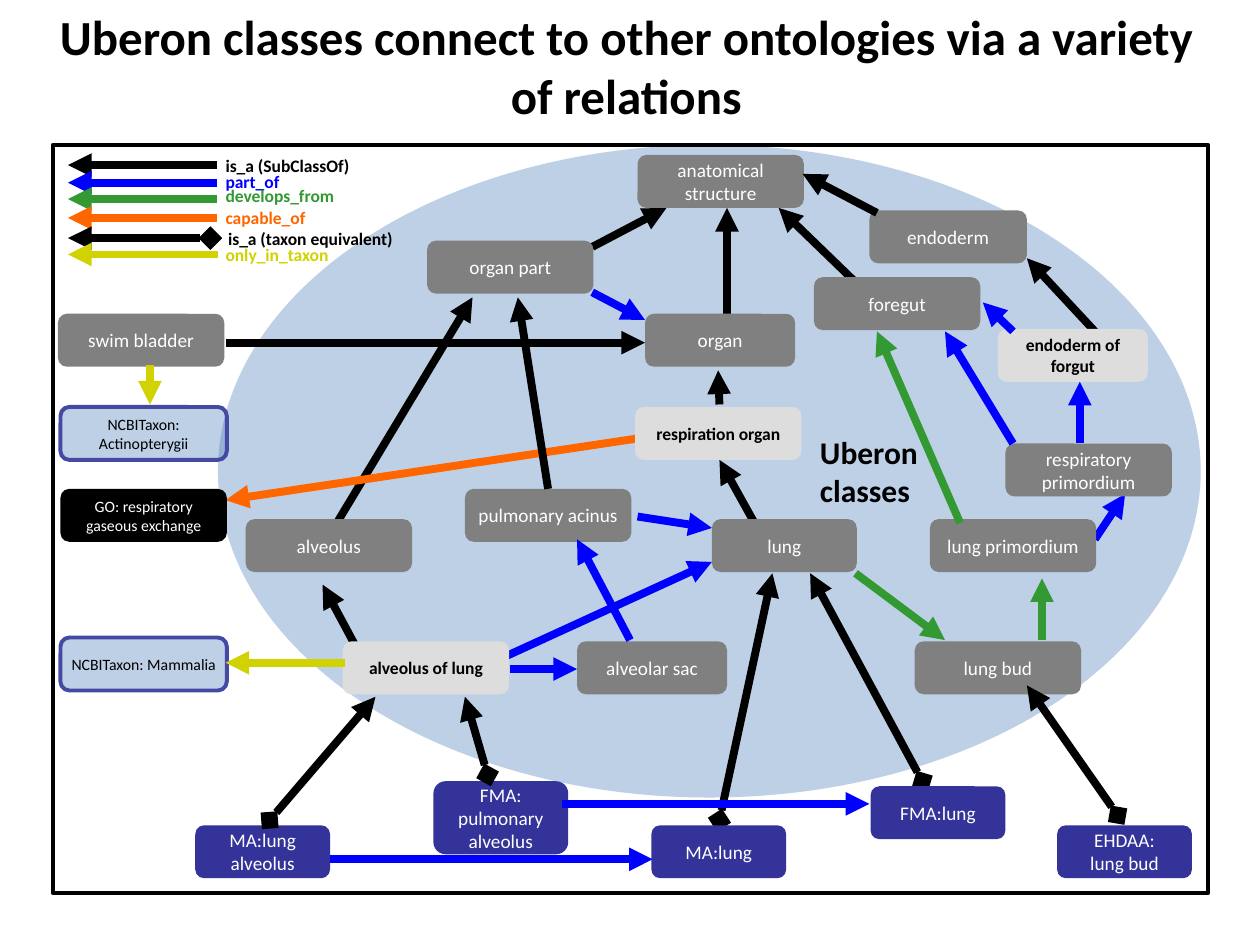
from lxml import etree
from pptx import Presentation
from pptx import util as u
from pptx.dml.color import RGBColor
from pptx.enum import shapes, text
from pptx.oxml import ns

TITLE = "Uberon classes connect to other ontologies via a variety of relations"
BOX_HEIGHT = 0.42
WIDE, MEDIUM, NARROW = 1.32, 1.19, 1.07

RELATION_COLORS = {
    "is_a": "000000",
    "part_of": "0000FF",
    "develops_from": "339933",
    "capable_of": "FF6600",
    "taxon_equivalent": "000000",
    "only_in_taxon": "D1D201",
}

BOX_STYLES = {
    "uberon": dict(fill="808080", color="FFFFFF", size=11),
    "focus": dict(fill="DDDDDD", color="000000", size=10, bold=True),
    "species": dict(fill="333399", color="FFFFFF", size=11),
    "process": dict(fill="000000", color="FFFFFF", size=9),
    "taxon": dict(fill="4F81BD", color="000000", size=9, alpha=37, line="444AA3"),
}

CLASSES = [
    ("anatomical\nstructure", "uberon", 5.06, 1.23, WIDE),
    ("endoderm of forgut", "focus", 7.92, 2.61, MEDIUM),
    ("lung bud", "uberon", 7.26, 5.09, WIDE),
    ("lung", "uberon", 5.65, 4.12, 1.15),
    ("respiration organ", "focus", 5.04, 3.23, WIDE),
    ("organ", "uberon", 5.12, 2.49, MEDIUM),
    ("foregut", "uberon", 6.46, 2.2, WIDE),
    ("alveolus", "uberon", 1.95, 4.12, WIDE),
    ("alveolus of lung", "focus", 2.72, 5.09, WIDE),
    ("organ part", "uberon", 3.39, 1.91, WIDE),
    ("endoderm", "uberon", 6.9, 1.67, 1.25),
    ("pulmonary acinus", "uberon", 3.69, 3.88, WIDE),
    ("alveolar sac", "uberon", 4.58, 5.09, MEDIUM),
    ("lung primordium", "uberon", 7.38, 4.12, WIDE),
    ("swim bladder", "uberon", 0.46, 2.49, WIDE),
    ("respiratory primordium", "uberon", 7.98, 3.52, WIDE),
    ("FMA:lung", "species", 6.91, 6.24, NARROW),
    ("MA:lung", "species", 5.17, 6.55, NARROW),
    ("MA:lung alveolus", "species", 1.55, 6.55, NARROW),
    ("FMA: pulmonary alveolus", "species", 3.44, 6.2, NARROW),
    ("EHDAA:\nlung bud", "species", 8.39, 6.55, NARROW),
    ("GO: respiratory gaseous exchange", "process", 0.48, 3.88, WIDE),
    ("NCBITaxon: Mammalia", "taxon", 0.48, 5.06, WIDE),
    ("NCBITaxon:\nActinopterygii", "taxon", 0.48, 3.23, WIDE),
]
TALL = {"FMA: pulmonary alveolus": 0.58}

ARROWS_BEHIND = [
    ("part_of", 8.69, 4.28, 8.93, 3.92),
    ("develops_from", 6.79, 4.55, 7.5, 5.08),
    ("is_a", 6.78, 2.23, 6.18, 1.65),
    ("taxon_equivalent", 5.71, 6.51, 6.13, 4.55),
    ("taxon_equivalent", 7.32, 6.2, 6.43, 4.55),
    ("is_a", 6.01, 4.19, 5.71, 3.65),
    ("is_a", 5.71, 3.21, 5.7, 2.94),
    ("is_a", 2.62, 4.24, 3.75, 2.36),
    ("is_a", 4.7, 1.96, 5.29, 1.65),
    ("capable_of", 5.06, 3.48, 1.79, 3.97),
    ("part_of", 4.7, 2.32, 5.12, 2.54),
    ("is_a", 5.77, 2.58, 5.77, 1.65),
    ("develops_from", 8.27, 5.08, 8.27, 4.59),
    ("is_a", 8.69, 2.63, 8.15, 2.05),
    ("part_of", 3.99, 5.22, 5.65, 4.46),
    ("is_a", 2.92, 5.31, 2.56, 4.64),
]
ARROWS_IN_FRONT = [
    ("only_in_taxon", 1.19, 2.9, 1.19, 3.21),
    ("taxon_equivalent", 2.14, 6.51, 2.98, 5.53),
    ("taxon_equivalent", 3.87, 6.15, 3.69, 5.53),
    ("only_in_taxon", 2.74, 5.26, 1.79, 5.26),
    ("taxon_equivalent", 8.87, 6.47, 8.15, 5.44),
    ("part_of", 4.05, 5.31, 4.58, 5.31),
    ("part_of", 5, 5.08, 4.58, 4.28),
    ("is_a", 1.79, 2.72, 5.12, 2.72),
    ("part_of", 5.06, 4.1, 5.65, 4.19),
    ("develops_from", 7.62, 4.15, 6.96, 2.63),
    ("part_of", 8.04, 2.63, 7.8, 2.4),
    ("part_of", 8.57, 3.52, 8.57, 3.03),
    ("part_of", 8.04, 3.52, 7.5, 2.63),
    ("is_a", 4.35, 3.88, 4.11, 2.36),
    ("is_a", 6.96, 1.69, 6.37, 1.38),
    ("part_of", 2.62, 6.82, 5.18, 6.82),
    ("part_of", 4.46, 6.38, 6.9, 6.38),
]

LEGEND = [
    ("is_a", "is_a (SubClassOf)", 1.31, 1.72, 1.73, 1.2),
    ("part_of", "part_of", 1.45, 1.72, 1.73, 1.33),
    ("develops_from", "develops_from", 1.58, 1.72, 1.73, 1.44),
    ("capable_of", "capable_of", 1.73, 1.72, 1.73, 1.61),
    ("taxon_equivalent", "is_a (taxon equivalent)", 1.89, 1.67, 1.75, 1.78),
    ("only_in_taxon", "only_in_taxon", 2.02, 1.73, 1.73, 1.91),
]
LEGEND_LEFT = 0.54

prs = Presentation()
prs.slide_width, prs.slide_height = u.Inches(10), u.Inches(7.5)
slide = prs.slides.add_slide(prs.slide_layouts[5])


def paint(color_format, color):
    color_format.rgb = RGBColor.from_string(color)


def write(target, content, size, color="000000", bold=False, align=text.PP_ALIGN.LEFT,
          anchor=text.MSO_ANCHOR.TOP, inset=(0.06, 0.03)):
    frame = target.text_frame
    frame.text = content
    frame.word_wrap = True
    frame.auto_size = text.MSO_AUTO_SIZE.NONE
    frame.vertical_anchor = anchor
    frame.margin_left = frame.margin_right = u.Inches(inset[0])
    frame.margin_top = frame.margin_bottom = u.Inches(inset[1])
    for paragraph in frame.paragraphs:
        paragraph.alignment = align
        font = paragraph.font
        for run in paragraph.runs:
            font = run.font
            font.name, font.size, font.bold = "Calibri", u.Pt(size), bold
            paint(font.color, color)


def add_outline(preset, left, top, width, height, fill=None, alpha=None, line=None):
    outline = slide.shapes.add_shape(preset, *map(u.Inches, (left, top, width, height)))
    outline.shadow.inherit = False
    if fill:
        outline.fill.solid()
        paint(outline.fill.fore_color, fill)
    else:
        outline.fill.background()
    if alpha:
        color = outline.fill._xPr.find(".//" + ns.qn("a:srgbClr"))
        etree.SubElement(color, ns.qn("a:alpha"), val=str(alpha * 1000))
    if line:
        paint(outline.line.color, line)
        outline.line.width = u.Pt(2.25)
    else:
        outline.line.fill.background()
    return outline


def add_arrow(relation, x1, y1, x2, y2):
    arrow = slide.shapes.add_connector(
        shapes.MSO_CONNECTOR.STRAIGHT, *map(u.Inches, (x1, y1, x2, y2)))
    paint(arrow.line.color, RELATION_COLORS[relation])
    arrow.line.width = u.Pt(4.5)
    stroke = arrow.line._get_or_add_ln()
    if relation == "taxon_equivalent":
        etree.SubElement(stroke, ns.qn("a:headEnd"), type="diamond")
    etree.SubElement(stroke, ns.qn("a:tailEnd"), type="triangle")
    etree.SubElement(arrow._element.spPr, ns.qn("a:effectLst"))


def add_label(content, left, top, width, height, **style):
    label = slide.shapes.add_textbox(*map(u.Inches, (left, top, width, height)))
    write(label, content, bold=True, **style)


def add_class(content, style, left, top, width):
    look = BOX_STYLES[style]
    box = add_outline(shapes.MSO_SHAPE.ROUNDED_RECTANGLE, left, top, width,
                      TALL.get(content, BOX_HEIGHT), look["fill"],
                      look.get("alpha"), look.get("line"))
    write(box, content, look["size"], look["color"], look.get("bold", False),
          text.PP_ALIGN.CENTER, text.MSO_ANCHOR.MIDDLE)


title = slide.shapes.title
title.left, title.top, title.width, title.height = map(u.Inches, (0.36, 0, 9.22, 1.51))
write(title, TITLE, 28, bold=True, align=text.PP_ALIGN.CENTER, inset=(0.1, 0.05))

add_outline(shapes.MSO_SHAPE.OVAL, 1.73, 1.15, 7.8, 5.18, "4F81BD", alpha=37)
add_outline(shapes.MSO_SHAPE.RECTANGLE, 0.42, 1.15, 9.17, 5.94, line="000000")
for link in ARROWS_BEHIND:
    add_arrow(*link)
for entry in CLASSES:
    add_class(*entry)
for link in ARROWS_IN_FRONT:
    add_arrow(*link)
for relation, caption, y, right, caption_left, caption_top in LEGEND:
    add_arrow(relation, right, y, LEGEND_LEFT, y)
    add_label(caption, caption_left, caption_top, 1.85, 0.23, size=10,
              color=RELATION_COLORS[relation])
add_label("Uberon\nclasses", 6.41, 3.39, 1.1, 0.71, size=18, inset=(0.1, 0.05))

prs.save("out.pptx")
